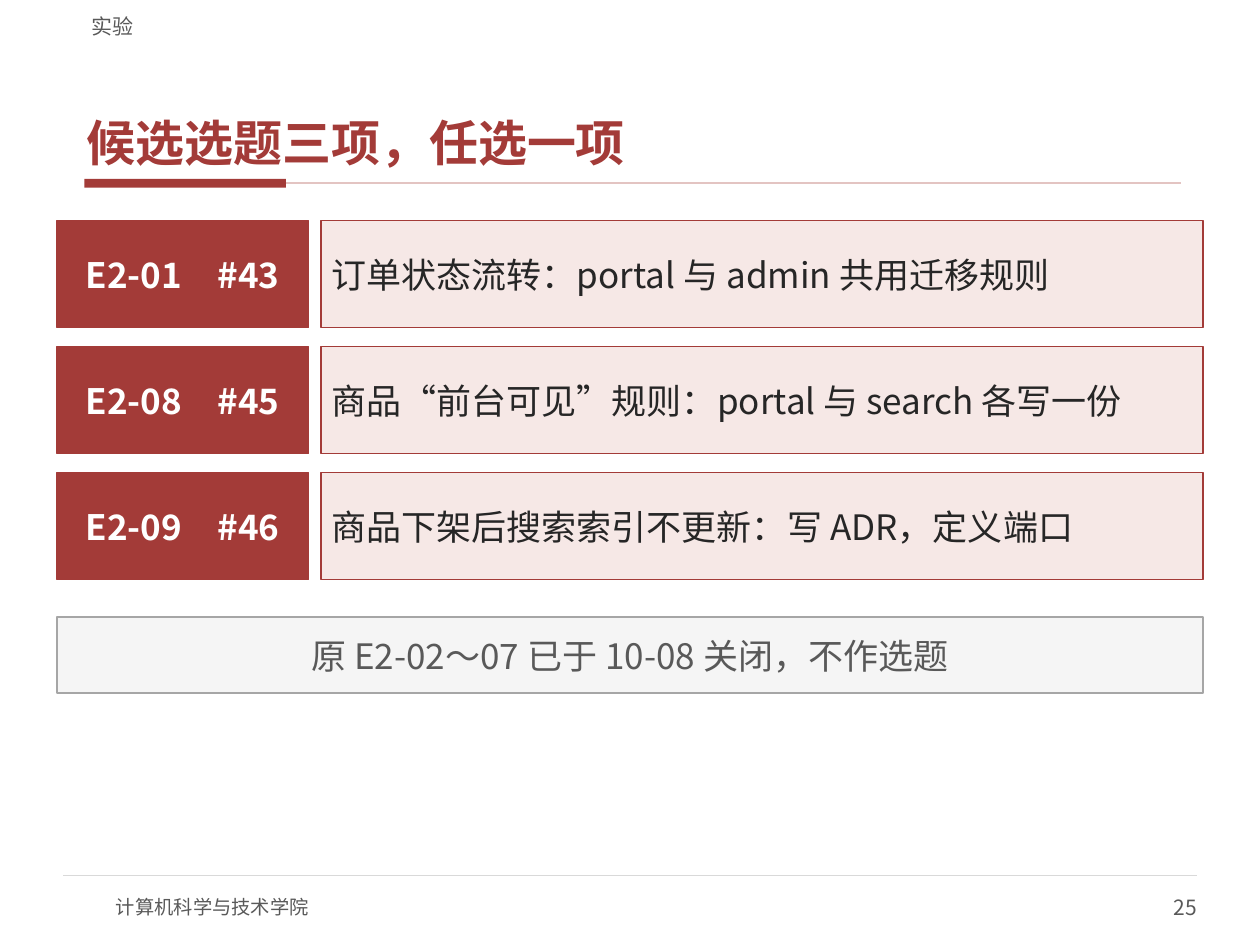
from lxml.etree import SubElement
from pptx import Presentation
from pptx.dml.color import RGBColor
from pptx.enum.shapes import MSO_CONNECTOR, MSO_SHAPE
from pptx.enum.text import MSO_ANCHOR, PP_ALIGN
from pptx.oxml.ns import qn
from pptx.util import Pt

FONT = "Noto Sans CJK SC"
COLORS = {
    "red": "A33B38",
    "pale_red": "F6E8E6",
    "rule": "E3C4C2",
    "footer_rule": "D9D9D9",
    "note_fill": "F5F5F5",
    "note_line": "A6A6A6",
    "gray": "595959",
    "dark": "262626",
    "white": "FFFFFF",
}
TOPICS = [
    ("E2-01　#43", "订单状态流转：portal 与 admin 共用迁移规则"),
    ("E2-08　#45", "商品“前台可见”规则：portal 与 search 各写一份"),
    ("E2-09　#46", "商品下架后搜索索引不更新：写 ADR，定义端口"),
]
LEFT, WIDTH = 32.4, 655.2
CODE_WIDTH, CODE_GAP = 144, 7.2
FIRST_TOP, ROW_HEIGHT, ROW_STEP = 126, 61.2, 72


def color(name):
    return RGBColor.from_string(COLORS[name])


def write_text(shape, text, size=20, ink="gray", bold=False, align=PP_ALIGN.LEFT,
               anchor=MSO_ANCHOR.MIDDLE, margins=(0, 0), space_after=0):
    """Fill the shape with one paragraph; margins are (horizontal, vertical)."""
    frame = shape.text_frame
    frame.word_wrap = True
    frame.vertical_anchor = anchor
    frame.margin_left = frame.margin_right = Pt(margins[0])
    frame.margin_top = frame.margin_bottom = Pt(margins[1])
    paragraph = frame.paragraphs[0]
    paragraph.alignment = align
    paragraph.space_after = Pt(space_after)
    run = paragraph.add_run()
    run.text = text
    run.font.size = Pt(size)
    run.font.bold = bold
    run.font.color.rgb = color(ink)
    run.font.name = FONT
    SubElement(run.font._element, qn("a:ea"), typeface=FONT)


def add_label(slide, left, top, width, height, text, **text_format):
    box = slide.shapes.add_textbox(Pt(left), Pt(top), Pt(width), Pt(height))
    write_text(box, text, **text_format)


def add_bar(slide, left, top, width, height, fill, line=None):
    bar = slide.shapes.add_shape(
        MSO_SHAPE.RECTANGLE, Pt(left), Pt(top), Pt(width), Pt(height))
    bar.shadow.inherit = False
    bar.fill.solid()
    bar.fill.fore_color.rgb = color(fill)
    if line:
        bar.line.color.rgb = color(line)
        bar.line.width = Pt(1)
    else:
        bar.line.fill.background()
    return bar


def add_card(slide, left, top, width, height, text, fill, line, **text_format):
    card = add_bar(slide, left, top, width, height, fill, line)
    write_text(card, text, margins=(5.76, 2.88), **text_format)


def add_rule(slide, left, right, top, line, weight):
    rule = slide.shapes.add_connector(
        MSO_CONNECTOR.STRAIGHT, Pt(left), Pt(top), Pt(right), Pt(top))
    rule.line.color.rgb = color(line)
    rule.line.width = Pt(weight)
    SubElement(rule._element.spPr, qn("a:effectLst"))


def add_header(slide):
    add_bar(slide, 48.24, 102.24, 115.2, 5.04, "red")
    add_rule(slide, 163.44, 674.64, 104.76, "rule", 1)
    add_label(slide, 45, 23.76, 630, 75.6, "候选选题三项，任选一项", size=28, ink="red",
              bold=True, anchor=MSO_ANCHOR.BOTTOM, margins=(4.5, 1.44), space_after=2)
    add_label(slide, 45, 2.88, 630, 19.44, "实验", size=12,
              anchor=MSO_ANCHOR.BOTTOM, margins=(7.2, 0))


def add_footer(slide):
    add_rule(slide, 36, 684, 500.4, "footer_rule", 0.75)
    add_label(slide, 66.24, 504, 288, 28.8, "计算机科学与技术学院", size=11)
    add_label(slide, 540, 504, 144, 28.8, "25", size=12, align=PP_ALIGN.RIGHT)


def add_topics(slide):
    description_left = LEFT + CODE_WIDTH + CODE_GAP
    description_width = WIDTH - CODE_WIDTH - CODE_GAP
    for row, (code, description) in enumerate(TOPICS):
        top = FIRST_TOP + row * ROW_STEP
        add_card(slide, LEFT, top, CODE_WIDTH, ROW_HEIGHT, code, "red", "red",
                 ink="white", bold=True, align=PP_ALIGN.CENTER)
        add_card(slide, description_left, top, description_width, ROW_HEIGHT,
                 description, "pale_red", "red", ink="dark")


def main():
    presentation = Presentation()
    presentation.slide_width = Pt(720)
    presentation.slide_height = Pt(540)
    slide = presentation.slides.add_slide(presentation.slide_layouts[6])
    add_header(slide)
    add_footer(slide)
    add_topics(slide)
    add_card(slide, LEFT, 352.8, WIDTH, 43.2, "原 E2-02～07 已于 10-08 关闭，不作选题",
             "note_fill", "note_line", align=PP_ALIGN.CENTER)
    presentation.save("out.pptx")


if __name__ == "__main__":
    main()
